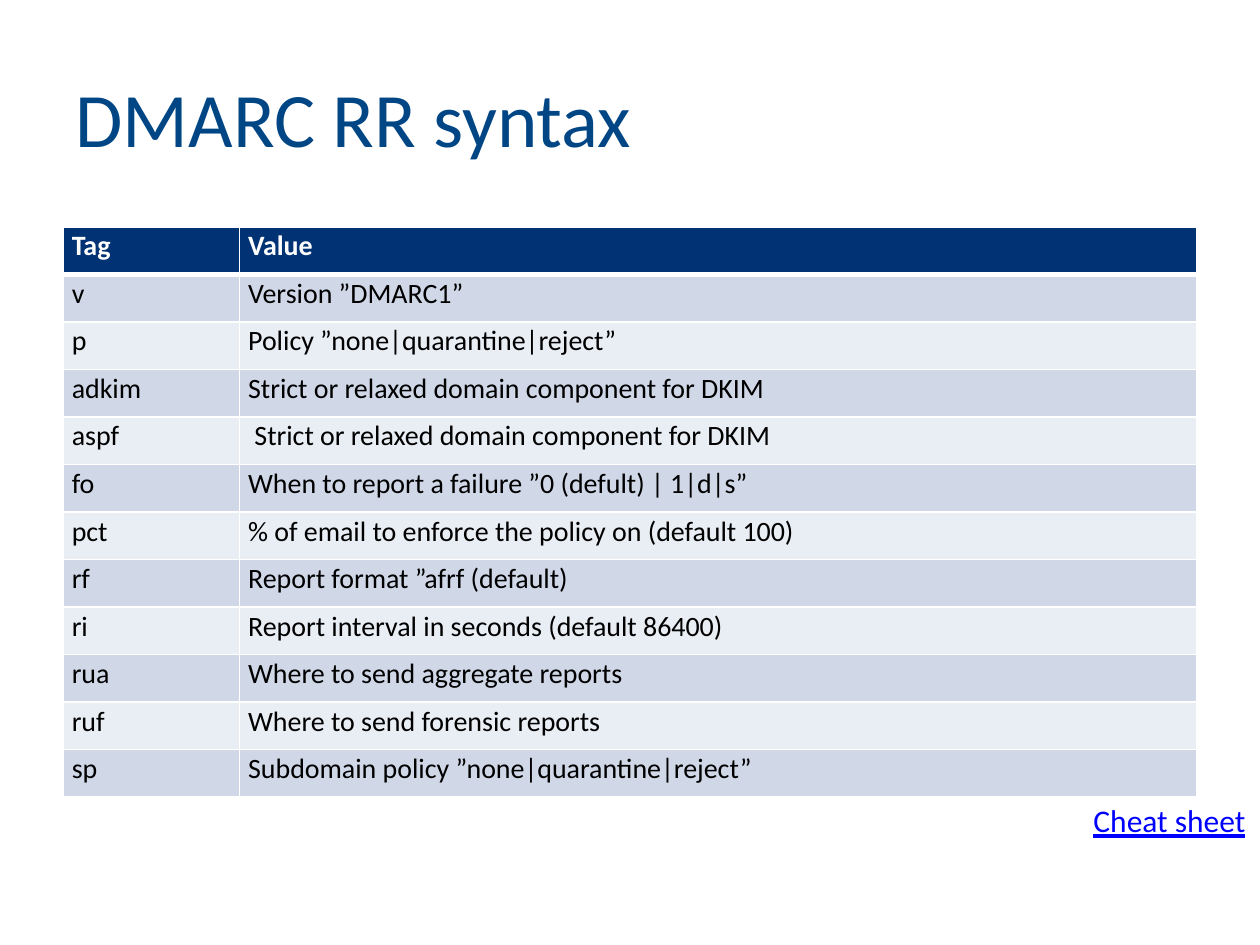
from pptx import Presentation
from pptx.dml.color import RGBColor
from pptx.enum.text import MSO_ANCHOR
from pptx.oxml import parse_xml
from pptx.oxml.ns import nsdecls
from pptx.util import Inches, Pt

MIDDLE, TOP = MSO_ANCHOR.MIDDLE, MSO_ANCHOR.TOP

THEME = {
    "font": "Calibri",
    "title": {"size": 44, "color": "004685"},
    "header": {"size": 16, "color": "FFFFFF", "bold": True},
    "body": {"size": 16, "color": "000000", "bold": False},
    "link": {"size": 18, "color": "0000FF", "underline": True},
    "header_fill": "013274",
    "bands": ["D0D8E8", "E9EDF4"],
    "rule": "FFFFFF",
}

ROWS = [
    ("Tag", "Value"),
    ("v", "Version ”DMARC1”"),
    ("p", "Policy ”none|quarantine|reject”"),
    ("adkim", "Strict or relaxed domain component for DKIM"),
    ("aspf", " Strict or relaxed domain component for DKIM"),
    ("fo", "When to report a failure ”0 (defult) | 1|d|s”"),
    ("pct", "% of email to enforce the policy on (default 100)"),
    ("rf", "Report format ”afrf (default)"),
    ("ri", "Report interval in seconds (default 86400)"),
    ("rua", "Where to send aggregate reports"),
    ("ruf", "Where to send forensic reports"),
    ("sp", "Subdomain policy ”none|quarantine|reject”"),
]


def write(frame, text, style):
    """Put one styled line of text in a frame and return its paragraph."""
    para = frame.paragraphs[0]
    span = para.add_run()
    span.text = text
    span.font.name = THEME["font"]
    for name, value in style.items():
        if name == "color":
            span.font.color.rgb = RGBColor.from_string(value)
        else:
            setattr(span.font, name, Pt(value) if name == "size" else value)
    return para


def add_border(cell, side, points, place):
    """Draw one side of a cell; borders come before the fill in the XML."""
    line = parse_xml(
        f'<a:ln{side} {nsdecls("a")} w="{Pt(points)}"><a:solidFill>'
        f'<a:srgbClr val="{THEME["rule"]}"/></a:solidFill></a:ln{side}>')
    cell._tc.get_or_add_tcPr().insert(place, line)


# Page and its margins
deck = Presentation()
deck.slide_width, deck.slide_height = Inches(10), Inches(7.5)
page = deck.slides.add_slide(deck.slide_layouts[6])
margin = Inches(0.5)
content_width = deck.slide_width - 2 * margin

# Title
title = page.shapes.add_textbox(margin, Inches(0.3), content_width, Inches(1.25))
title.text_frame.word_wrap = True
title.text_frame.vertical_anchor = MIDDLE
write(title.text_frame, "DMARC RR syntax", THEME["title"])

# Tag table
table_top, table_height = Inches(1.8), Inches(4.53)
tags = page.shapes.add_table(len(ROWS), 2, margin, table_top,
                             content_width, table_height).table
tags.columns[0].width = Inches(1.4)
tags.columns[1].width = content_width - Inches(1.4)
cell_format = {"margin_left": Inches(0.07), "margin_right": Inches(0.07),
               "margin_top": 0, "margin_bottom": 0, "vertical_anchor": TOP}

for row, texts in enumerate(ROWS):
    tags.rows[row].height = table_height // len(ROWS)
    is_header = row == 0
    fill = THEME["header_fill"] if is_header else THEME["bands"][(row - 1) % 2]
    style = THEME["header" if is_header else "body"]
    # A heavier rule parts the header from the body
    borders = {"L": 1, "R": 1, "T": 3 if row == 1 else 1, "B": 3 if is_header else 1}
    for column, text in enumerate(texts):
        cell = tags.cell(row, column)
        for name, value in cell_format.items():
            setattr(cell, name, value)
        cell.fill.solid()
        cell.fill.fore_color.rgb = RGBColor.from_string(fill)
        for place, (side, points) in enumerate(borders.items()):
            add_border(cell, side, points, place)
        write(cell.text_frame, text, style).line_spacing = 1.07

# Cheat sheet label at the right edge
label_width = Inches(1.42)
label = page.shapes.add_textbox(deck.slide_width - label_width, Inches(6.31),
                                label_width, Inches(0.4))
label.text_frame.word_wrap = False
write(label.text_frame, "Cheat sheet", THEME["link"])

deck.save("out.pptx")
